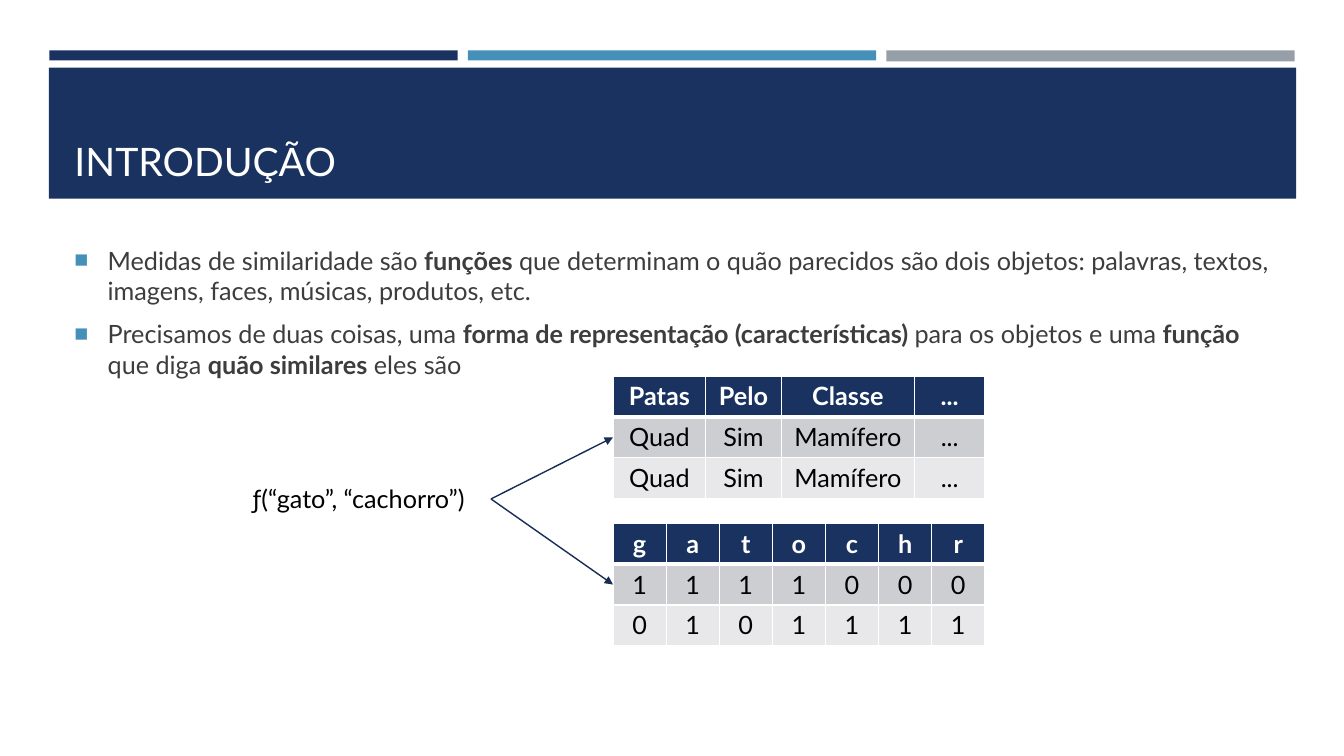
from lxml.etree import SubElement
from pptx import Presentation
from pptx.dml.color import RGBColor
from pptx.enum.shapes import MSO_CONNECTOR as CONN, MSO_SHAPE as SHAPE
from pptx.enum.text import MSO_ANCHOR as ANCHOR, PP_ALIGN as ALIGN
from pptx.oxml.ns import qn
from pptx.util import Inches, Pt

FONT = "Lato"
NAVY, BLUE, GRAY, WHITE, BLACK = "1A3260", "4590B8", "969FA7", "FFFFFF", "000000"
INK, ARROW = "3D3D3D", "172D56"
BANDS = "CDCED2", "E8E8EA"

BULLETS = [
    "Medidas de similaridade são **funções** que determinam o quão parecidos são "
    "dois objetos: palavras, textos, imagens, faces, músicas, produtos, etc.",
    "Precisamos de duas coisas, uma **forma de representação (características) **"
    "para os objetos e uma **função** que diga **quão similares** eles são",
]
ANIMALS = [["Patas", "Pelo", "Classe", "..."]] + [["Quad", "Sim", "Mamífero", "..."]] * 2
LETTERS = ["gatochr", "1111000", "0101111"]
ROW_H = 4.06


def grid(*units):
    """Turn grid units of a tenth of an inch into lengths."""
    return [Inches(u / 10) for u in units]


def color(value):
    """Turn a hex string into a colour."""
    return RGBColor.from_string(value)


def add_xml(parent, tag, **attrs):
    """Append a drawing element with the given attributes."""
    return SubElement(parent, qn("a:" + tag), {k: str(v) for k, v in attrs.items()})


def write(p, text, size=18, ink=INK, bold=False, align=ALIGN.LEFT):
    """Write text in a paragraph, with bold between double asterisks."""
    p.alignment = align
    for i, part in enumerate(text.split("**")):
        if part:
            r = p.add_run()
            r.text = part
            r.font.name, r.font.size = FONT, Pt(size)
            r.font.bold = bold or i % 2 == 1
            r.font.color.rgb = color(ink)


def add_bullet(p):
    """Give a paragraph a hanging square bullet."""
    p.space_after = Pt(9.6)
    pPr = p._p.get_or_add_pPr()
    indent = Inches(0.33)
    pPr.set("marL", str(indent))
    pPr.set("indent", str(-indent))
    add_xml(add_xml(pPr, "buClr"), "srgbClr", val=BLUE)
    add_xml(pPr, "buSzPct", val=92000)
    add_xml(pPr, "buFont", typeface="Arial")
    add_xml(pPr, "buChar", char="■")


def add_text(s, box, lines, anchor=ANCHOR.TOP, bullets=False, **fmt):
    """Add a wrapped text box with one paragraph per line."""
    tf = s.shapes.add_textbox(*grid(*box)).text_frame
    tf.word_wrap, tf.vertical_anchor = True, anchor
    for i, line in enumerate(lines):
        p = tf.add_paragraph() if i else tf.paragraphs[0]
        write(p, line, **fmt)
        if bullets:
            add_bullet(p)


def add_bar(s, box, fill):
    """Add a plain filled rectangle."""
    sp = s.shapes.add_shape(SHAPE.RECTANGLE, *grid(*box))
    sp.shadow.inherit = False
    sp.fill.solid()
    sp.fill.fore_color.rgb = color(fill)
    sp.line.fill.background()


def add_borders(cell, top, bottom):
    """Draw white borders around a cell."""
    tcPr = cell._tc.get_or_add_tcPr()
    for side, width in zip("LRTB", (1, 1, top, bottom)):
        ln = add_xml(tcPr, "ln" + side, w=Pt(width))
        add_xml(add_xml(ln, "solidFill"), "srgbClr", val=WHITE)


def add_table(s, x, y, widths, rows):
    """Add a table with a dark header and banded rows."""
    box = grid(x, y, sum(widths), ROW_H * len(rows))
    table = s.shapes.add_table(len(rows), len(widths), *box).table
    for column, width in zip(table.columns, grid(*widths)):
        column.width = width
    for i, row in enumerate(rows):
        head = i == 0
        for j, text in enumerate(row):
            cell = table.cell(i, j)
            add_borders(cell, 3 if i == 1 else 1, 3 if head else 1)
            cell.fill.solid()
            cell.fill.fore_color.rgb = color(NAVY if head else BANDS[i - 1])
            write(cell.text_frame.paragraphs[0], text, bold=head,
                  ink=WHITE if head else BLACK, align=ALIGN.CENTER)


def add_arrow(s, start, end):
    """Add a straight arrow between two points."""
    c = s.shapes.add_connector(CONN.STRAIGHT, *grid(*start, *end))
    c.line.color.rgb, c.line.width = color(ARROW), Pt(1)
    add_xml(c.line._get_or_add_ln(), "tailEnd", type="triangle")
    add_xml(c._element.spPr, "effectLst")


def main():
    """Build the slide and save it."""
    prs = Presentation()
    prs.slide_width, prs.slide_height = Inches(13.33), Inches(7.5)
    s = prs.slides.add_slide(prs.slide_layouts[6])

    for i, (fill, height) in enumerate([(NAVY, 1), (BLUE, 1), (GRAY, 1.1)]):
        add_bar(s, (4.9 + 41.5 * i, 5, 40.5, height), fill)
    add_bar(s, (4.85, 6.7, 123.7, 13), NAVY)
    add_text(s, (6.4, 7.7, 120.6, 11.1), ["INTRODUÇÃO"], anchor=ANCHOR.BOTTOM,
             size=28, ink=WHITE)
    add_text(s, (6.4, 23.8, 120.6, 40.2), BULLETS, bullets=True)

    add_text(s, (24.1, 47.5, 24.6, 4), ["ƒ(“gato”, “cachorro”)"], ink=BLACK)
    left = 60.8
    tables = [(37.3, (9.2, 7.5, 13.2, 7), ANIMALS),
              (51.9, [36.9 / 7] * 7, LETTERS)]
    for top, widths, rows in tables:
        add_table(s, left, top, widths, rows)
        add_arrow(s, (48.7, 49.5), (left, top + 1.5 * ROW_H))

    prs.save("out.pptx")


main()
